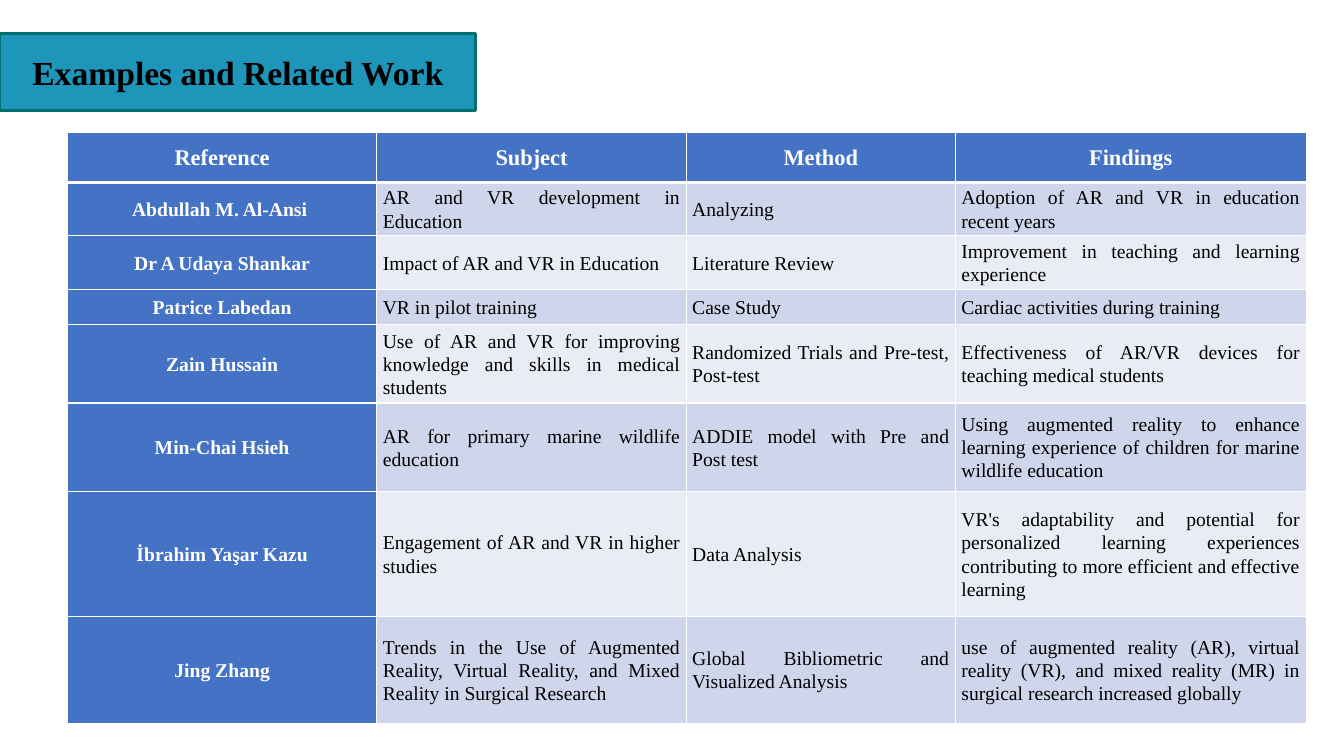
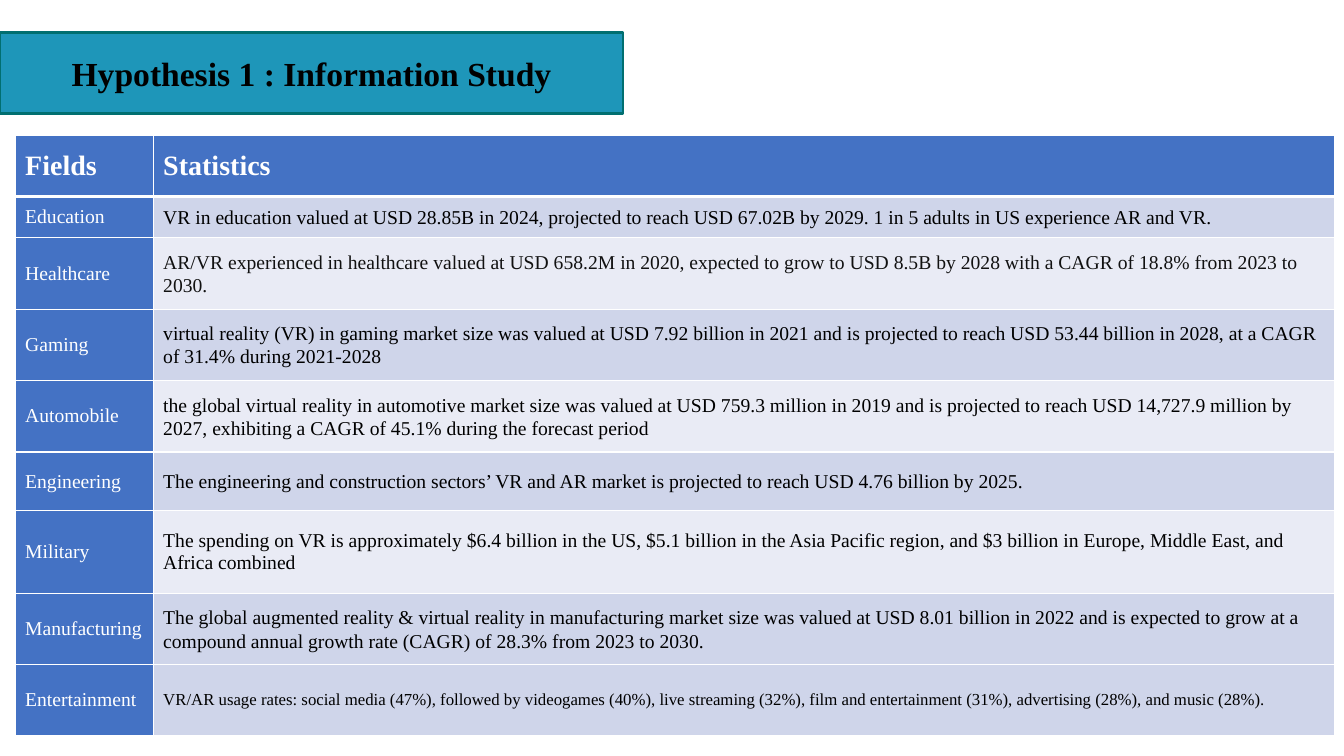
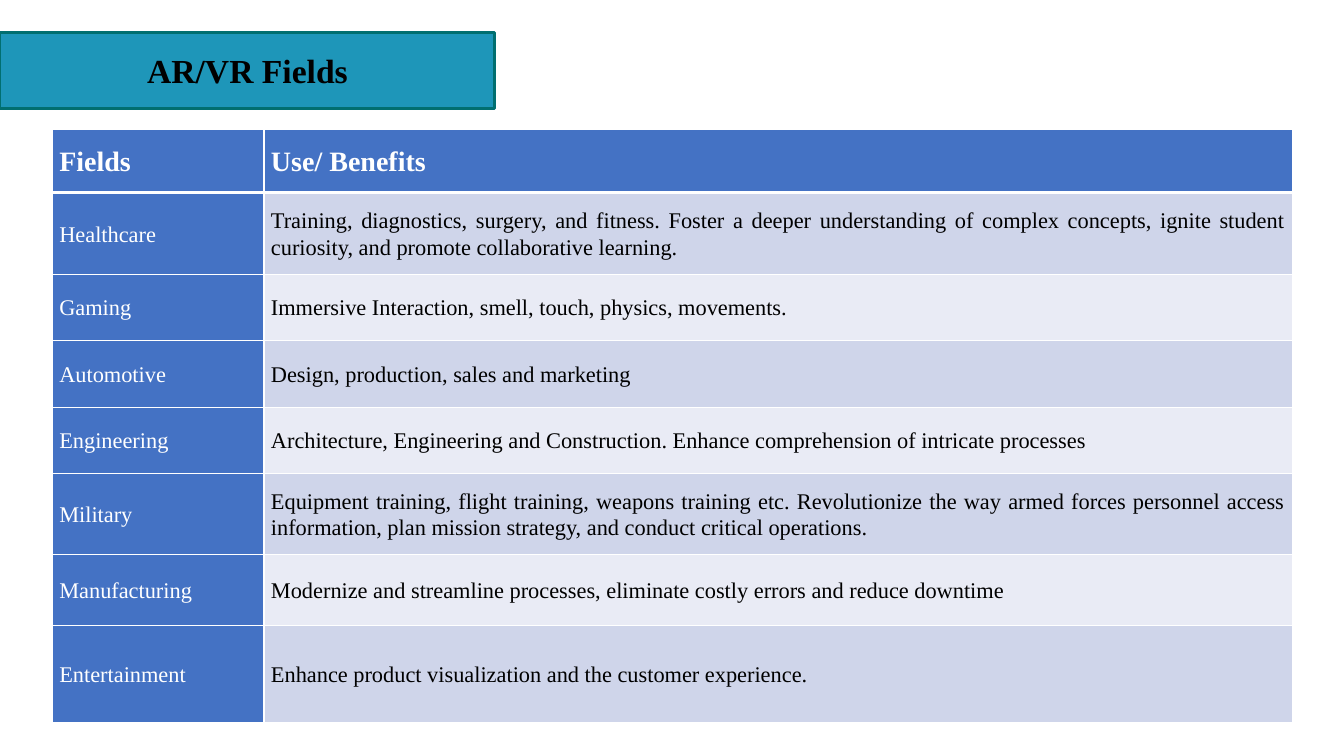
from dataclasses import dataclass, field
from typing import Any

from lxml.etree import SubElement
from pptx import Presentation
from pptx.dml.color import RGBColor
from pptx.dml.fill import FillFormat
from pptx.enum.text import MSO_ANCHOR, MSO_AUTO_SIZE, PP_ALIGN
from pptx.oxml.ns import qn
from pptx.slide import Slide
from pptx.table import _Cell
from pptx.util import Pt

# Shared look
FACE = "Times New Roman"
BAND, EDGE = "1E96B9", "016F70"
HEAD, WHITE, BLACK = "4472C4", "FFFFFF", "000000"
TINTS = ("CFD5EA", "E9EBF5")
LEFT, MID, JUST = PP_ALIGN.LEFT, PP_ALIGN.CENTER, PP_ALIGN.JUSTIFY
LOOSE = {"line_spacing": 1.07, "space_after": Pt(8)}


@dataclass(frozen=True)
class Look:
    """Format of the text in one part of a table."""
    size: float
    color: str = BLACK
    bold: bool = False
    align: PP_ALIGN = LEFT
    loose: bool = True


@dataclass(frozen=True)
class Sheet:
    """One slide: title band and table."""
    title: str
    band: tuple[float, float, float]  # top, width, height
    spot: tuple[float, float]  # left, top
    cols: list[float]
    rows: list[float]
    pad: tuple[float, float]  # side, top and bottom
    top: Look
    side: Look
    body: Look
    data: list[tuple[str, ...]]
    looks: dict[int, Look] = field(default_factory=dict)  # body, by row
    tints: dict[int, str] = field(default_factory=dict)  # fill, by row


def apply(item: Any, values: dict[str, Any]) -> None:
    for name, value in values.items():
        setattr(item, name, value)


def paint(fill: FillFormat, color: str) -> None:
    fill.solid()
    fill.fore_color.rgb = RGBColor.from_string(color)


def write(frame: Any, text: str, look: Look) -> None:
    para = frame.paragraphs[0]
    apply(para, {"alignment": look.align, **(LOOSE if look.loose else {})})
    run = para.add_run()
    run.text = text
    apply(run.font, {"name": FACE, "size": Pt(look.size), "bold": look.bold})
    paint(run.font.fill, look.color)


def rule(cell: _Cell, row: int) -> None:
    """White borders, thicker between the header and the first row."""
    widths = {"L": 1, "R": 1, "T": 3 if row == 1 else 1,
              "B": 3 if row == 0 else 1}
    props = cell._tc.get_or_add_tcPr()
    for edge, width in widths.items():
        line = SubElement(props, qn(f"a:ln{edge}"), w=str(Pt(width)))
        fill = SubElement(line, qn("a:solidFill"))
        SubElement(fill, qn("a:srgbClr"), val=WHITE)


def draw_band(slide: Slide, sheet: Sheet) -> None:
    top, width, height = sheet.band
    title = slide.shapes.title
    apply(title, {"left": Pt(0), "top": Pt(top),
                  "width": Pt(width), "height": Pt(height)})
    paint(title.fill, BAND)
    paint(title.line.fill, EDGE)
    title.line.width = Pt(2)
    apply(title.text_frame, {"word_wrap": True,
                             "auto_size": MSO_AUTO_SIZE.NONE,
                             "vertical_anchor": MSO_ANCHOR.MIDDLE})
    write(title.text_frame, sheet.title, Look(24, BLACK, True, MID, False))


def draw_table(slide: Slide, sheet: Sheet) -> None:
    left, top = sheet.spot
    table = slide.shapes.add_table(
        len(sheet.rows), len(sheet.cols), Pt(left), Pt(top),
        Pt(sum(sheet.cols)), Pt(sum(sheet.rows))).table
    for col, width in zip(table.columns, sheet.cols):
        col.width = Pt(width)
    for row, height in zip(table.rows, sheet.rows):
        row.height = Pt(height)

    side, ends = map(Pt, sheet.pad)
    room = {"margin_left": side, "margin_right": side, "margin_top": ends,
            "margin_bottom": ends, "vertical_anchor": MSO_ANCHOR.MIDDLE}
    for r, texts in enumerate(sheet.data):
        for c, text in enumerate(texts):
            cell = table.cell(r, c)
            apply(cell, room)
            rule(cell, r)
            if r == 0:
                look, tint = sheet.top, HEAD
            elif c == 0:
                look, tint = sheet.side, HEAD
            else:
                look = sheet.looks.get(r, sheet.body)
                tint = sheet.tints.get(r, TINTS[(r - 1) % 2])
            paint(cell.fill, tint)
            write(cell.text_frame, text, look)


SHEETS = [
    # Related work
    Sheet(
        "Examples and Related Work", (23.8, 339.8, 55.4), (48.2, 94.3),
        [221, 221, 192.3, 250.5],
        [36, 38.2, 38.2, 25.2, 56, 63.4, 89.2, 76.3], (4.3, 0),
        Look(16, WHITE, True, MID), Look(14, WHITE, True, MID),
        Look(14, align=JUST),
        [
            ("Reference", "Subject", "Method", "Findings"),
            ("Abdullah M. Al-Ansi ", "AR and VR development in Education",
             "Analyzing", "Adoption of AR and VR in education recent years"),
            ("Dr A Udaya Shankar", "Impact of AR and VR in Education",
             "Literature Review",
             "Improvement in teaching and learning experience"),
            ("Patrice Labedan", "VR in pilot training", "Case Study",
             "Cardiac activities during training"),
            ("Zain Hussain",
             "Use of AR and VR for improving knowledge and skills in medical "
             "students",
             "Randomized Trials and Pre-test, Post-test",
             "Effectiveness of AR/VR devices for teaching medical students"),
            ("Min-Chai Hsieh", "AR for primary marine wildlife education",
             "ADDIE model with Pre and Post test",
             "Using augmented reality to enhance learning experience of "
             "children for marine wildlife education"),
            ("İbrahim Yaşar Kazu", "Engagement of AR and VR in higher studies",
             "Data Analysis",
             "VR's adaptability and potential for personalized learning "
             "experiences contributing to more efficient and effective "
             "learning"),
            ("Jing Zhang",
             "Trends in the Use of Augmented Reality, Virtual Reality, and "
             "Mixed Reality in Surgical Research",
             "Global Bibliometric and Visualized Analysis",
             "use of augmented reality (AR), virtual reality (VR), and mixed "
             "reality (MR) in surgical research increased globally"),
        ]),
    # Market statistics
    Sheet(
        "Hypothesis 1 : Information Study", (23, 445, 58.3), (10.8, 96.5),
        [98.6, 843.8],
        [43.9, 29.5, 51, 51, 51, 42, 59, 51, 50.4], (7.2, 3.6),
        Look(20, WHITE, True, loose=False), Look(14, WHITE, loose=False),
        Look(14),
        [
            ("Fields", "Statistics"),
            ("Education",
             "VR in education valued at USD 28.85B in 2024, projected to "
             "reach USD 67.02B by 2029. 1 in 5 adults in US experience AR "
             "and VR."),
            ("Healthcare",
             "AR/VR experienced in healthcare valued at USD 658.2M in 2020, "
             "expected to grow to USD 8.5B by 2028 with a CAGR of 18.8% from "
             "2023 to 2030."),
            ("Gaming",
             "virtual reality (VR) in gaming market size was valued at USD "
             "7.92 billion in 2021 and is projected to reach USD 53.44 "
             "billion in 2028, at a CAGR of 31.4% during 2021-2028"),
            ("Automobile",
             "the global virtual reality in automotive market size was "
             "valued at USD 759.3 million in 2019 and is projected to reach "
             "USD 14,727.9 million by 2027, exhibiting a CAGR of 45.1% "
             "during the forecast period"),
            ("Engineering",
             "The engineering and construction sectors’ VR and AR market is "
             "projected to reach USD 4.76 billion by 2025."),
            ("Military",
             "The spending on VR is approximately $6.4 billion in the US, "
             "$5.1 billion in the Asia Pacific region, and $3 billion in "
             "Europe, Middle East, and Africa combined"),
            ("Manufacturing",
             "The global augmented reality & virtual reality in "
             "manufacturing market size was valued at USD 8.01 billion in "
             "2022 and is expected to grow at a compound annual growth rate "
             "(CAGR) of 28.3% from 2023 to 2030."),
            ("Entertainment",
             "VR/AR usage rates: social media (47%), followed by videogames "
             "(40%), live streaming (32%), film and entertainment (31%), "
             "advertising (28%), and music (28%)."),
        ],
        looks={2: Look(14, "111111"), 6: Look(14, loose=False),
               8: Look(12, loose=False)},
        tints={8: TINTS[0]}),
    # Uses by field
    Sheet(
        "AR/VR Fields", (23, 353.5, 54.7), (37.4, 92.2),
        [151.2, 734.4],
        [45.4, 58.6, 46.8, 48.2, 46.8, 58.3, 50.4, 69.8], (5, 0),
        Look(20, WHITE, True, JUST), Look(16, WHITE, align=JUST),
        Look(16, align=JUST),
        [
            ("Fields", "Use/ Benefits"),
            ("Healthcare",
             "Training, diagnostics, surgery, and fitness. Foster a deeper "
             "understanding of complex concepts, ignite student curiosity, "
             "and promote collaborative learning."),
            ("Gaming",
             "Immersive Interaction, smell, touch, physics, movements."),
            ("Automotive", "Design, production, sales and marketing"),
            ("Engineering",
             "Architecture, Engineering and Construction. Enhance "
             "comprehension of intricate processes"),
            ("Military",
             "Equipment training, flight training, weapons training etc. "
             "Revolutionize the way armed forces personnel access "
             "information, plan mission strategy, and conduct critical "
             "operations."),
            ("Manufacturing",
             "Modernize and streamline processes, eliminate costly errors "
             "and reduce downtime"),
            ("Entertainment",
             "Enhance product visualization and the customer experience."),
        ]),
]


def main() -> None:
    deck = Presentation()
    apply(deck, {"slide_width": Pt(960), "slide_height": Pt(540)})
    plain = deck.slide_layouts.get_by_name("Title Only")
    for sheet in SHEETS:
        slide = deck.slides.add_slide(plain)
        draw_band(slide, sheet)
        draw_table(slide, sheet)
    deck.save("out.pptx")


if __name__ == "__main__":
    main()
